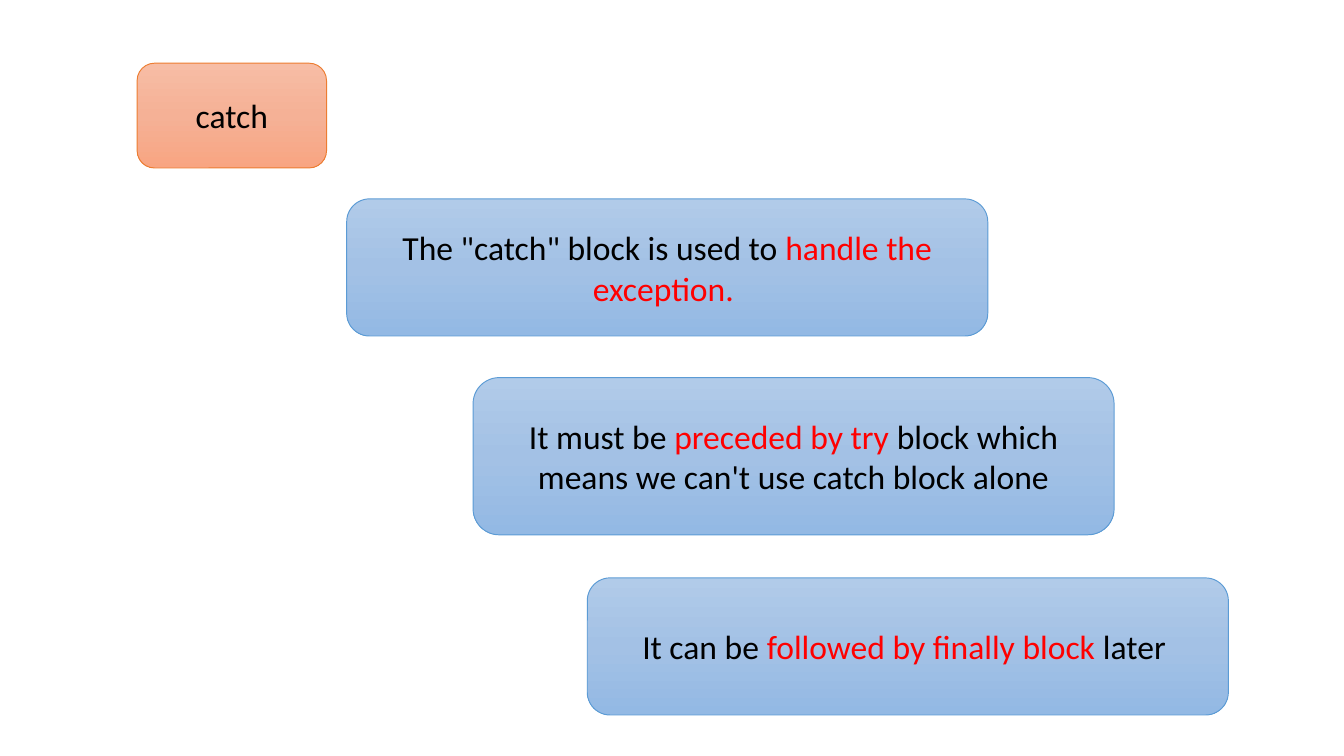
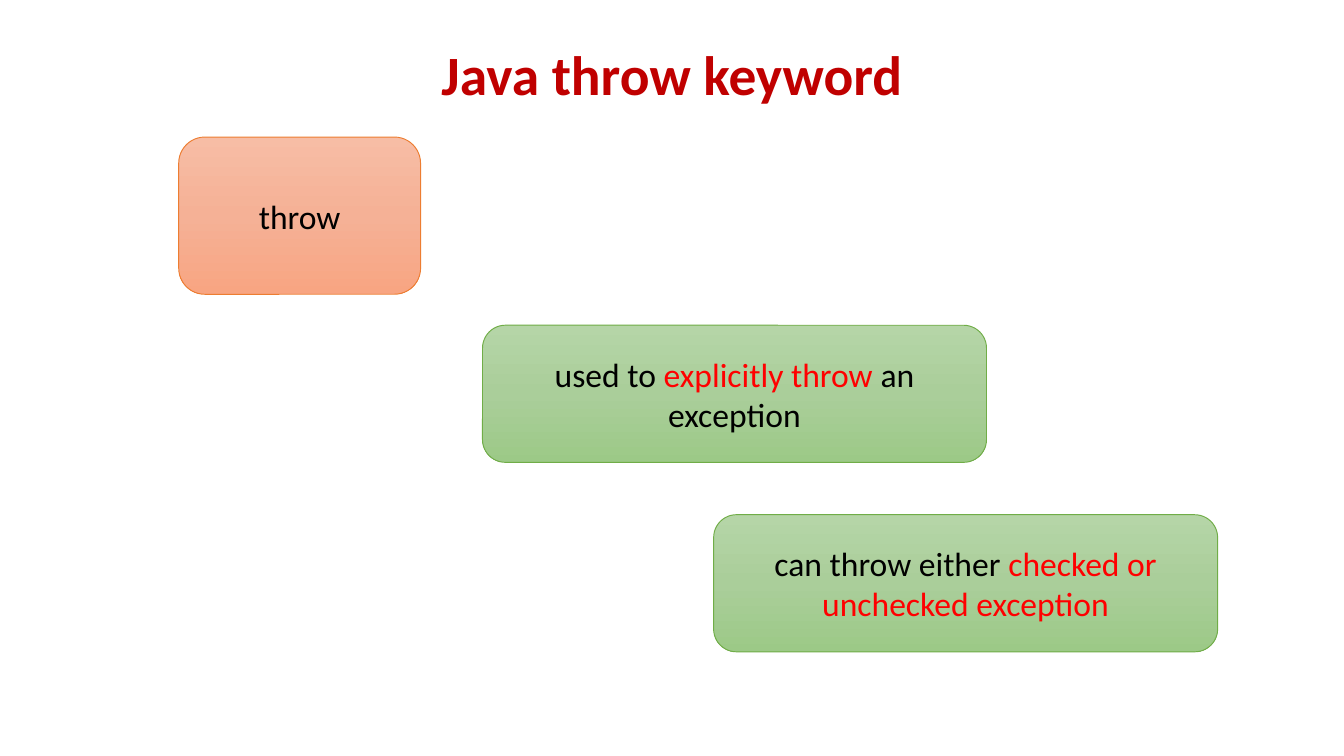
from copy import deepcopy
from dataclasses import dataclass

from pptx import Presentation
from pptx.dml.color import RGBColor
from pptx.enum.shapes import MSO_SHAPE
from pptx.enum.text import MSO_ANCHOR, MSO_AUTO_SIZE, PP_ALIGN
from pptx.oxml.ns import qn
from pptx.slide import Slide
from pptx.util import Inches, Pt

ROUNDED = MSO_SHAPE.ROUNDED_RECTANGLE
MIDDLE = MSO_ANCHOR.MIDDLE
CENTER = PP_ALIGN.CENTER
NO_AUTOFIT = MSO_AUTO_SIZE.NONE

SLIDE_WIDTH = Inches(10)
SLIDE_HEIGHT = SLIDE_WIDTH * 9 // 16
TITLE_ONLY_LAYOUT = 5
BLANK_LAYOUT = 6

FONT = "Calibri"
BLACK = RGBColor(0x00, 0x00, 0x00)
RED = RGBColor(0xFF, 0x00, 0x00)
DARK_RED = RGBColor(0xC0, 0x00, 0x00)

BODY_FORMAT = {"name": FONT, "size": Pt(18), "bold": False}
TITLE_FORMAT = {"name": FONT, "size": Pt(29.7), "bold": True}


@dataclass(frozen=True)
class Theme:
    """Top, middle and bottom gradient colours, and the outline."""
    top: RGBColor
    middle: RGBColor
    bottom: RGBColor
    outline: RGBColor


ORANGE = Theme(RGBColor(0xF7, 0xBD, 0xA5), RGBColor(0xF5, 0xB1, 0x96),
               RGBColor(0xF8, 0xA5, 0x82), RGBColor(0xED, 0x7D, 0x31))
BLUE = Theme(RGBColor(0xB1, 0xCB, 0xE9), RGBColor(0xA3, 0xC1, 0xE5),
             RGBColor(0x93, 0xB9, 0xE4), RGBColor(0x5B, 0x9B, 0xD5))
GREEN = Theme(RGBColor(0xB5, 0xD5, 0xA7), RGBColor(0xAA, 0xCE, 0x9A),
              RGBColor(0x9C, 0xC9, 0x87), RGBColor(0x70, 0xAD, 0x47))


@dataclass(frozen=True)
class Box:
    """A rounded box; its text pieces alternate between plain and highlighted."""
    left: float
    top: float
    width: float
    height: float
    theme: Theme
    pieces: tuple[str, ...]


CATCH_BOXES = (
    Box(1.02, 0.47, 1.41, 0.78, ORANGE, ("catch",)),
    Box(2.58, 1.48, 4.77, 1.02, BLUE,
        ('The "catch" block is used to ', "handle the exception. ")),
    Box(3.52, 2.81, 4.77, 1.17, BLUE,
        ("It must be ", "preceded by try ",
         "block which means we can't use catch block alone")),
    Box(4.37, 4.3, 4.77, 1.02, BLUE,
        ("It can be ", "followed by finally block ", "later ")),
)
THROW_BOXES = (
    Box(1.33, 1.02, 1.8, 1.17, ORANGE, ("throw",)),
    Box(3.59, 2.42, 3.75, 1.02, GREEN,
        ("used to ", "explicitly throw ", "an exception")),
    Box(5.31, 3.83, 3.75, 1.02, GREEN,
        ("can throw either ", "checked or unchecked exception")),
)


def add_run(paragraph, text: str, color: RGBColor, formats: dict) -> None:
    run = paragraph.add_run()
    run.text = text
    for attribute, value in formats.items():
        setattr(run.font, attribute, value)
    run.font.color.rgb = color


def fill_gradient(shape, theme: Theme) -> None:
    """Fill from top to bottom through the three theme colours."""
    shape.fill.gradient()
    shape.fill.gradient_angle = 270
    first_stop = shape.element.spPr.find(qn("a:gradFill")).find(qn("a:gsLst"))[0]
    first_stop.addnext(deepcopy(first_stop))
    colors = (theme.top, theme.middle, theme.bottom)
    for index, (stop, color) in enumerate(zip(shape.fill.gradient_stops, colors)):
        stop.position = index / 2
        stop.color.rgb = color


def add_box(slide: Slide, box: Box) -> None:
    shape = slide.shapes.add_shape(ROUNDED, Inches(box.left), Inches(box.top),
                                   Inches(box.width), Inches(box.height))
    shape.shadow.inherit = False
    fill_gradient(shape, box.theme)
    shape.line.color.rgb = box.theme.outline
    shape.line.width = Pt(0.5)
    shape.text_frame.word_wrap = True
    shape.text_frame.vertical_anchor = MIDDLE
    paragraph = shape.text_frame.paragraphs[0]
    paragraph.alignment = CENTER
    for index, text in enumerate(box.pieces):
        add_run(paragraph, text, RED if index % 2 else BLACK, BODY_FORMAT)


def set_title(slide: Slide, text: str) -> None:
    title = slide.shapes.title
    title.left, title.top = Inches(0.69), Inches(0.3)
    title.width, title.height = Inches(8.62), Inches(0.56)
    title.text_frame.auto_size = NO_AUTOFIT
    title.text_frame.vertical_anchor = MIDDLE
    paragraph = title.text_frame.paragraphs[0]
    paragraph.alignment = CENTER
    paragraph.line_spacing = 0.9
    add_run(paragraph, text, DARK_RED, TITLE_FORMAT)


def add_slide(presentation, boxes: tuple[Box, ...], title: str = "") -> None:
    layout = TITLE_ONLY_LAYOUT if title else BLANK_LAYOUT
    slide = presentation.slides.add_slide(presentation.slide_layouts[layout])
    if title:
        set_title(slide, title)
    for box in boxes:
        add_box(slide, box)


def main() -> None:
    presentation = Presentation()
    presentation.slide_width = SLIDE_WIDTH
    presentation.slide_height = SLIDE_HEIGHT
    add_slide(presentation, CATCH_BOXES)
    add_slide(presentation, THROW_BOXES, "Java throw keyword")
    presentation.save("out.pptx")


if __name__ == "__main__":
    main()
